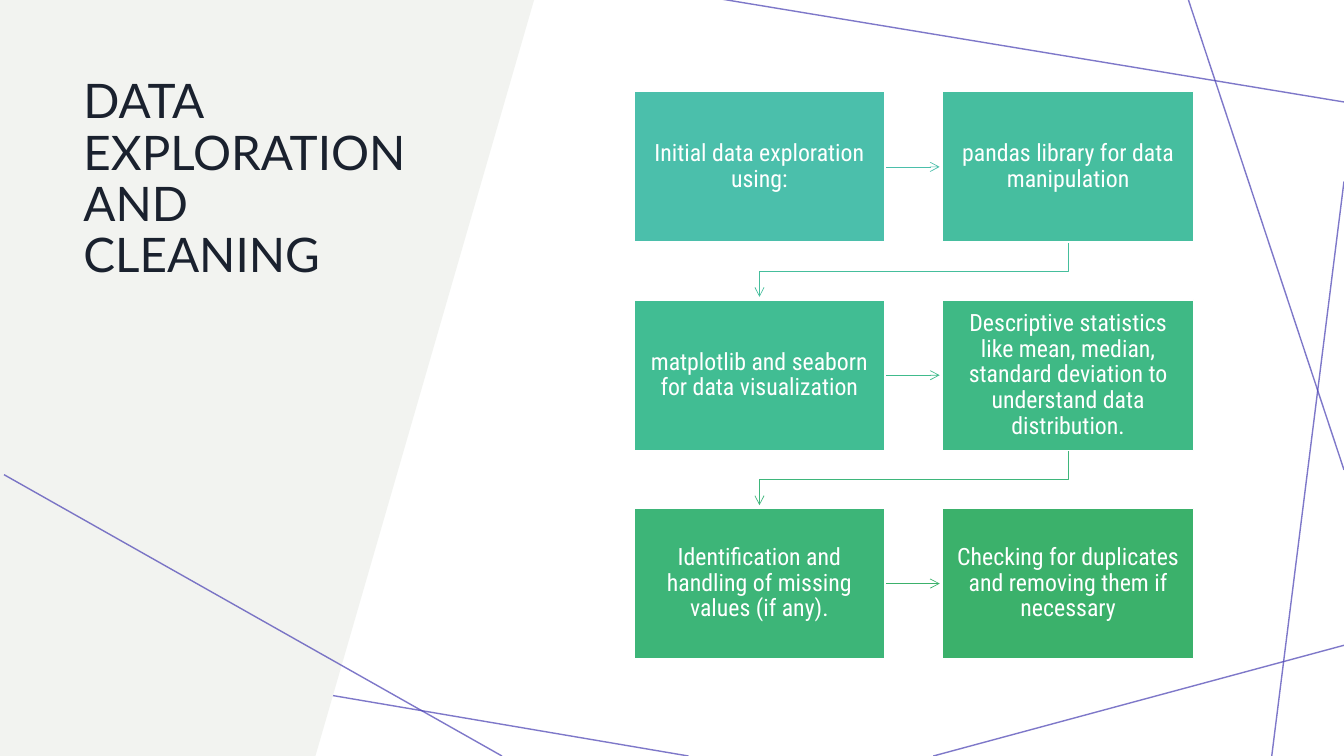
"""Build the data exploration and cleaning slide."""
from dataclasses import dataclass

from lxml import etree
from pptx import Presentation
from pptx import util as u
from pptx.dml.color import RGBColor
from pptx.enum import shapes, text
from pptx.oxml.ns import qn

COLORS = {
    "panel": "F2F3F0", "title": "1A212E", "accent": "483FB3", "white": "FFFFFF",
    "box1": "4BBFAB", "box2": "46BE9F", "box3": "41BD93",
    "box4": "3FB985", "box5": "3DB578", "box6": "3BB16B",
    "arrow1": "4BBFAB", "arrow2": "45BE9C", "arrow3": "40BB8C",
    "arrow4": "3EB67B", "arrow5": "3BB16B",
}
LEFT, TOP = 15.98, 2.31
BOX_W, BOX_H = 6.32, 3.79
PITCH_X, PITCH_Y = 7.78, 5.25
TIP_GAP = 0.08


@dataclass
class Line:
    """Straight line between two points in centimetres."""
    x1: float
    y1: float
    x2: float
    y2: float


@dataclass
class Step:
    """One box of the process, placed by its index."""
    index: int
    label: str

    @property
    def left(self) -> float:
        """Left edge in centimetres."""
        return LEFT + self.index % 2 * PITCH_X

    @property
    def top(self) -> float:
        """Top edge in centimetres."""
        return TOP + self.index // 2 * PITCH_Y


BACK_LINES = [
    Line(17.35, 19.05, -0.13, 16.08),
    Line(33.87, 16.26, 23.52, 19.05),
    Line(33.87, 4.57, 32.05, 19.05),
    Line(33.87, 11.84, 29.95, 0),
    Line(33.87, 2.57, 18.14, -0.03),
]
FRONT_LINE = Line(0.1, 11.96, 12.65, 19.05)
PANEL = [(0, 0), (13.46, 0), (7.95, 19.05), (0, 19.05)]
LABELS = [
    "Initial data exploration using:",
    "pandas library for data manipulation",
    "matplotlib and seaborn for data visualization",
    "Descriptive statistics like mean, median, standard deviation to "
    "understand data distribution.",
    "Identification and handling of missing values (if any).",
    "Checking for duplicates and removing them if necessary",
]


def rgb(name: str) -> RGBColor:
    """Return the named colour."""
    return RGBColor.from_string(COLORS[name])


def style_line(sp, color: str, width: float) -> None:
    """Set the colour and width of a line."""
    sp.line.color.rgb = rgb(color)
    sp.line.width = u.Pt(width)


def draw_line(slide, line: Line, color: str, width: float):
    """Draw a straight connector without a shadow."""
    sp = slide.shapes.add_connector(
        shapes.MSO_CONNECTOR.STRAIGHT,
        u.Cm(line.x1), u.Cm(line.y1), u.Cm(line.x2), u.Cm(line.y2))
    style_line(sp, color, width)
    etree.SubElement(sp._element.spPr, qn("a:effectLst"))
    return sp


def draw_accent(slide, line: Line) -> None:
    """Draw a translucent decorative line."""
    sp = draw_line(slide, line, "accent", 1)
    fill = sp._element.spPr.find(".//" + qn("a:srgbClr"))
    etree.SubElement(fill, qn("a:alpha"), val="70000")


def draw_outline(slide, points: list[tuple[float, float]], close: bool):
    """Draw a freeform through points in centimetres."""
    pts = [(u.Cm(x), u.Cm(y)) for x, y in points]
    builder = slide.shapes.build_freeform(*pts[0])
    builder.add_line_segments(pts[1:], close=close)
    sp = builder.convert_to_shape()
    sp.shadow.inherit = False
    return sp


def draw_arrow(slide, step: Step) -> None:
    """Draw the arrow leading from a step to the next one."""
    color = f"arrow{step.index + 1}"
    if step.index % 2 == 0:
        y = step.top + BOX_H / 2
        tip = step.left + PITCH_X - TIP_GAP
        sp = draw_line(slide, Line(step.left + BOX_W, y, tip, y), color, 0.5)
    else:
        x = step.left + BOX_W / 2
        turn = step.top + (BOX_H + PITCH_Y) / 2
        sp = draw_outline(slide, [
            (x, step.top + BOX_H), (x, turn), (x - PITCH_X, turn),
            (x - PITCH_X, step.top + PITCH_Y - TIP_GAP)], False)
        sp.fill.background()
        style_line(sp, color, 0.5)
    etree.SubElement(sp.line._get_or_add_ln(), qn("a:tailEnd"), type="arrow")


def format_text(p, font: str, size: float, color: str) -> None:
    """Format a paragraph and its runs."""
    p.line_spacing = 0.9
    p.space_before = u.Pt(0)
    for r in p.runs:
        r.font.name = font
        r.font.size = u.Pt(size)
        r.font.bold = False
        r.font.color.rgb = rgb(color)


def draw_box(slide, step: Step) -> None:
    """Draw the labelled box of a step."""
    sp = slide.shapes.add_shape(
        shapes.MSO_SHAPE.RECTANGLE,
        u.Cm(step.left), u.Cm(step.top), u.Cm(BOX_W), u.Cm(BOX_H))
    sp.shadow.inherit = False
    sp.fill.solid()
    sp.fill.fore_color.rgb = rgb(f"box{step.index + 1}")
    style_line(sp, "white", 1)
    tf = sp.text_frame
    tf.word_wrap = True
    tf.vertical_anchor = text.MSO_ANCHOR.MIDDLE
    tf.margin_left = tf.margin_right = u.Cm(0.3)
    tf.margin_top = tf.margin_bottom = u.Cm(0.33)
    tf.text = step.label
    p = tf.paragraphs[0]
    p.alignment = text.PP_ALIGN.CENTER
    format_text(p, "Roboto Condensed", 17, "white")


def place_title(slide) -> None:
    """Place the title in front of the side panel."""
    sp = slide.shapes.title
    slide.shapes._spTree.append(sp._element)
    sp.left, sp.top = u.Cm(1.85), u.Cm(1.83)
    sp.width, sp.height = u.Cm(8.97), u.Cm(9.91)
    tf = sp.text_frame
    tf.text = "DATA EXPLORATION AND CLEANING"
    tf.word_wrap = True
    tf.auto_size = text.MSO_AUTO_SIZE.NONE
    tf.vertical_anchor = text.MSO_ANCHOR.TOP
    p = tf.paragraphs[0]
    p.alignment = text.PP_ALIGN.LEFT
    format_text(p, "Lato", 34, "title")


def main() -> None:
    """Build and save the slide."""
    prs = Presentation()
    prs.slide_width, prs.slide_height = u.Cm(33.87), u.Cm(19.05)
    slide = prs.slides.add_slide(prs.slide_layouts[5])
    for line in BACK_LINES:
        draw_accent(slide, line)
    panel = draw_outline(slide, PANEL, True)
    panel.fill.solid()
    panel.fill.fore_color.rgb = rgb("panel")
    panel.line.fill.background()
    place_title(slide)
    draw_accent(slide, FRONT_LINE)
    steps = [Step(i, label) for i, label in enumerate(LABELS)]
    for step in steps:
        if step is not steps[-1]:
            draw_arrow(slide, step)
        draw_box(slide, step)
    prs.save("out.pptx")


if __name__ == "__main__":
    main()
